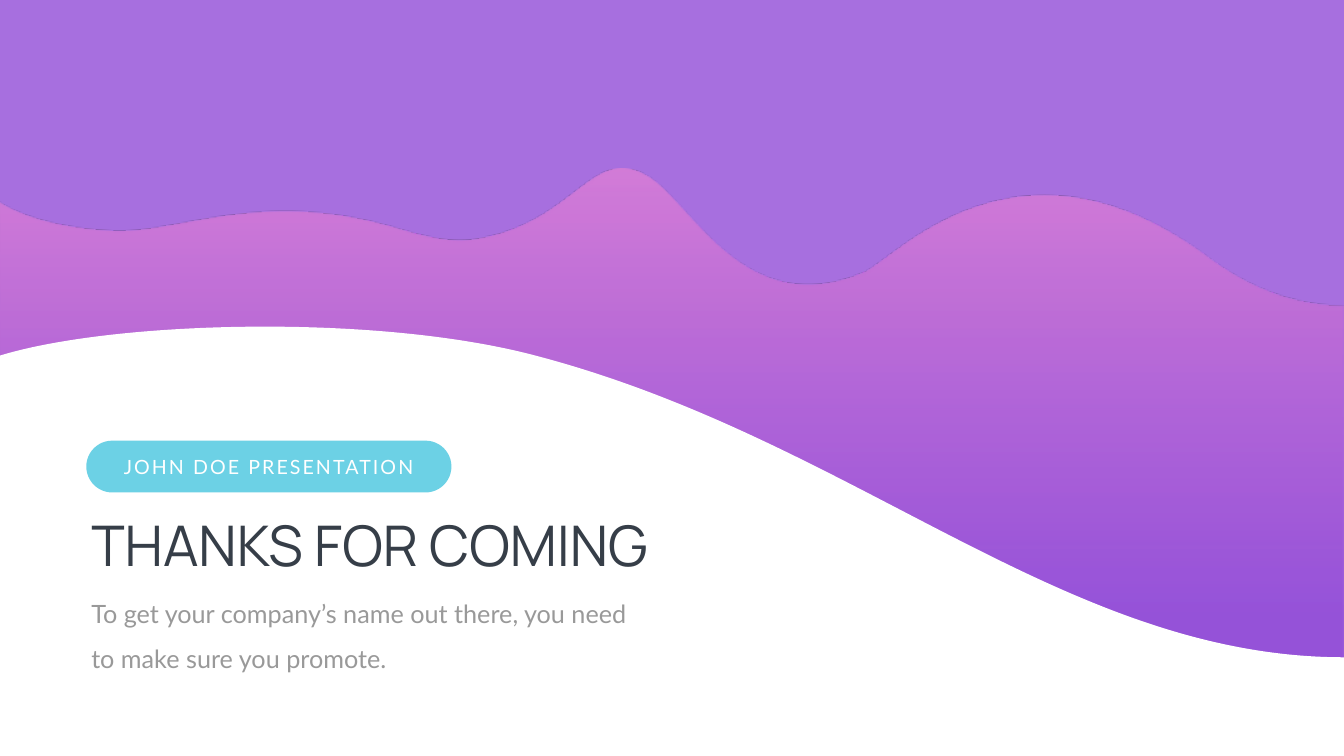
from dataclasses import dataclass

from lxml import etree
from pptx import Presentation
from pptx.dml.color import RGBColor
from pptx.enum.shapes import MSO_SHAPE
from pptx.enum.text import MSO_ANCHOR, PP_ALIGN
from pptx.oxml.ns import qn
from pptx.util import Pt

RECT, PILL = MSO_SHAPE.RECTANGLE, MSO_SHAPE.ROUNDED_RECTANGLE
TOP, MIDDLE = MSO_ANCHOR.TOP, MSO_ANCHOR.MIDDLE
LEFT, CENTER = PP_ALIGN.LEFT, PP_ALIGN.CENTER
TITLE_ONLY = 5
WIDTH, HEIGHT = 1919.5, 1080


@dataclass(frozen=True)
class Theme:
    purple: str = "914BD7"
    pink: str = "E184D6"
    cyan: str = "6CD1E5"
    white: str = "FFFFFF"
    dark: str = "363E48"
    grey: str = "999999"
    heading_font: str = "Manrope"
    body_font: str = "Lato"
    title_size: int = 80
    body_size: int = 36
    label_size: int = 28


THEME = Theme()

# Each wave runs from the left edge to the right one:
# a start point, then cubic curves as (control, control, end).
PINK_WAVE = (0, 289.5), [
    ((0, 289.5), (48, 325.5), (161, 331)),
    ((256, 336), (369, 270), (562, 325.5)),
    ((604, 338), (647, 351), (690.5, 341)),
    ((824, 315), (849, 206), (926, 253)),
    ((989, 289.5), (1063, 463), (1235, 390)),
    ((1279, 371.5), (1456, 163.5), (1732, 373)),
    ((1763, 395), (1828, 437), (WIDTH, 438)),
]
WHITE_WAVE = (0, 508), [
    ((160, 459), (527, 448), (755, 505.5)),
    ((1218, 623.5), (1516, 939), (WIDTH, 939)),
]


def rgb(color):
    return RGBColor.from_string(color)


def set_alpha(color_parent, percent):
    """Set the opacity of the colour found inside an XML element."""
    color = color_parent.find(".//" + qn("a:srgbClr"))
    etree.SubElement(color, qn("a:alpha"), val=str(percent * 1000))


def fill_solid(sp, color, alpha=100):
    sp.fill.solid()
    sp.fill.fore_color.rgb = rgb(color)
    if alpha < 100:
        set_alpha(sp._element.spPr, alpha)


def fill_downward(sp, stops):
    """Fill with a top-to-bottom gradient of two (position, colour, alpha) stops."""
    sp.fill.gradient()
    sp.fill.gradient_angle = 270
    gs_elements = sp._element.spPr.findall(".//" + qn("a:gs"))
    for stop, gs, (position, color, alpha) in zip(
            sp.fill.gradient_stops, gs_elements, stops):
        stop.position = position
        stop.color.rgb = rgb(color)
        set_alpha(gs, alpha)


def make_flat(sp):
    sp.shadow.inherit = False
    sp.line.fill.background()
    return sp


def add_block(slide, preset, left, top, width, height, color, alpha=100):
    sp = make_flat(slide.shapes.add_shape(
        preset, Pt(left), Pt(top), Pt(width), Pt(height)))
    fill_solid(sp, color, alpha)
    return sp


def bend_lines(sp, curve_count):
    """Turn each leading run of three line segments into one cubic curve."""
    lines = list(sp._element.iter(qn("a:lnTo")))
    for i in range(0, 3 * curve_count, 3):
        curve = etree.Element(qn("a:cubicBezTo"))
        lines[i].addprevious(curve)
        for line in lines[i:i + 3]:
            curve.append(line[0])
            line.getparent().remove(line)


def add_wave(slide, start, curves):
    """Add an outline that fills the slide below a curved edge."""
    points = [point for curve in curves for point in curve]
    points += [(WIDTH, HEIGHT), (0, HEIGHT)]
    builder = slide.shapes.build_freeform(Pt(start[0]), Pt(start[1]))
    builder.add_line_segments([(Pt(x), Pt(y)) for x, y in points], close=True)
    sp = make_flat(builder.convert_to_shape())
    bend_lines(sp, len(curves))
    return sp


def write_text(sp, text, font, size, color, align=LEFT, anchor=TOP,
               line_spacing=None, letter_spacing=0, wrap=True):
    tf = sp.text_frame
    tf.word_wrap = wrap
    tf.vertical_anchor = anchor
    p = tf.paragraphs[0]
    p.alignment = align
    p.line_spacing = line_spacing
    r = p.add_run()
    r.text = text
    r.font.name = font
    r.font.size = Pt(size)
    r.font.color.rgb = rgb(color)
    if letter_spacing:
        r.font._element.set("spc", str(letter_spacing * 100))


def add_title(slide, text, left, top, width, height):
    sp = slide.shapes.title
    sp.left, sp.top, sp.width, sp.height = map(Pt, (left, top, width, height))
    write_text(sp, text, THEME.heading_font, THEME.title_size, THEME.dark,
               anchor=MIDDLE)
    slide.shapes._spTree.append(sp._element)  # bring in front of the waves


def add_text(slide, text, left, top, width, height, size, color, **style):
    sp = slide.shapes.add_textbox(Pt(left), Pt(top), Pt(width), Pt(height))
    write_text(sp, text, THEME.body_font, size, color, **style)


def main():
    prs = Presentation()
    prs.slide_width, prs.slide_height = Pt(WIDTH), Pt(HEIGHT)
    slide = prs.slides.add_slide(prs.slide_layouts[TITLE_ONLY])

    add_block(slide, RECT, 0, 0, WIDTH, 941, THEME.purple, alpha=80)
    fill_downward(add_wave(slide, *PINK_WAVE),
                  [(0, THEME.pink, 90), (0.78, THEME.purple, 80)])
    fill_solid(add_wave(slide, *WHITE_WAVE), THEME.white)

    left = 123.25
    add_title(slide, "THANKS FOR COMING", left, 725, 976.5, 104.5)
    add_text(slide, "To get your company’s name out there, you need "
             "to make sure you promote.", left, 829.5, 798.5, 129.5,
             THEME.body_size, THEME.grey, line_spacing=1.5)
    pill = add_block(slide, PILL, left, 629.5, 521.5, 74, THEME.cyan)
    pill.adjustments[0] = 0.5
    add_text(slide, "JOHN DOE PRESENTATION", 163.5, 646, 440.5, 41,
             THEME.label_size, THEME.white, align=CENTER,
             letter_spacing=3, wrap=False)

    prs.save("out.pptx")


if __name__ == "__main__":
    main()
